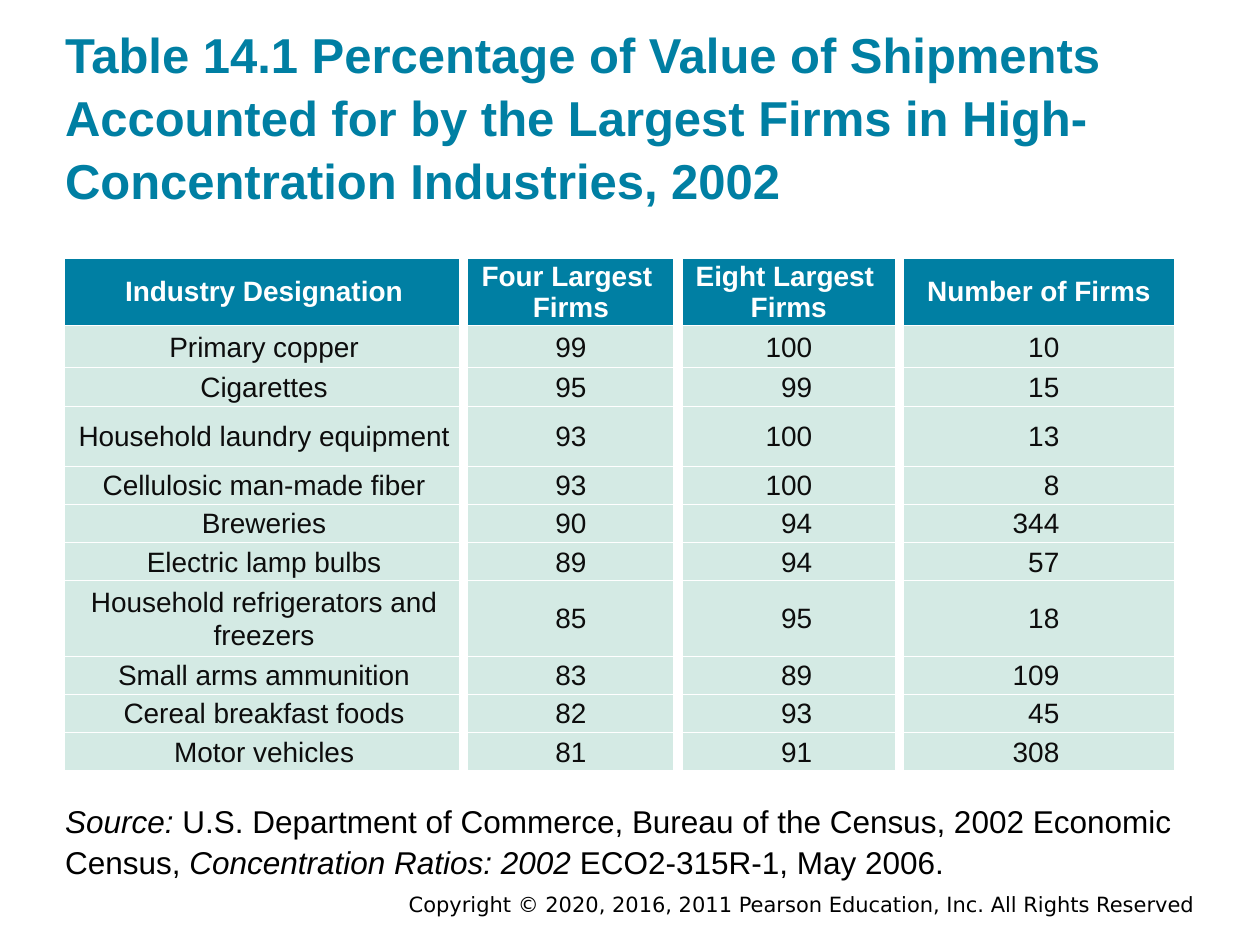
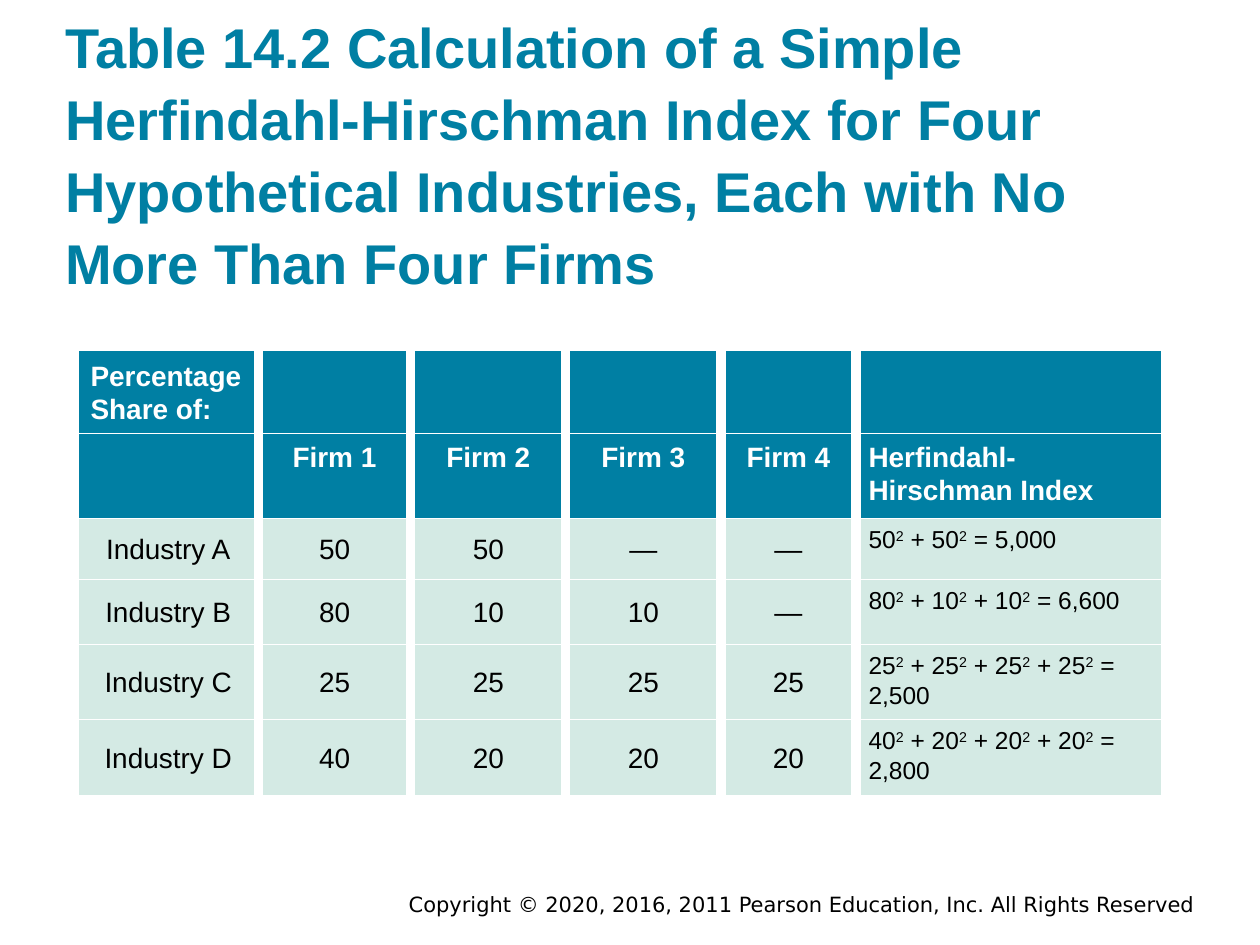
from dataclasses import dataclass, replace
from typing import NamedTuple, Sequence

import pptx
import pptx.dml.color
import pptx.enum.text
import pptx.oxml
import pptx.oxml.ns
import pptx.util

Pt = pptx.util.Pt
RGBColor = pptx.dml.color.RGBColor
Align = pptx.enum.text.PP_ALIGN
Anchor = pptx.enum.text.MSO_ANCHOR

TEAL = RGBColor(0x00, 0x7F, 0xA3)
MINT = RGBColor(0xD4, 0xEA, 0xE4)
WHITE = RGBColor(0xFF, 0xFF, 0xFF)
BLACK = RGBColor(0x00, 0x00, 0x00)
NEAR_BLACK = RGBColor(0x0D, 0x0D, 0x0D)

TITLE_AND_BODY, TITLE_ONLY = 1, 5
COLUMN_GAP, ROW_GAP = 6, 0.25
COPYRIGHT = "Copyright © 2020, 2016, 2011 Pearson Education, Inc. All Rights Reserved"


class Box(NamedTuple):
    left: float
    top: float
    width: float
    height: float


class Margins(NamedTuple):
    left: float
    top: float
    right: float
    bottom: float


class Run(NamedTuple):
    text: str
    italic: bool = False
    superscript: bool = False


Paragraph = Sequence[Run]


@dataclass(frozen=True)
class Style:
    size: float
    color: RGBColor
    bold: bool = False
    align: Align = Align.LEFT
    anchor: Anchor = Anchor.MIDDLE
    spacing: float = 1.07
    margins: Margins = Margins(7.2, 7.2, 7.2, 7.2)
    font: str = "Arial"


@dataclass(frozen=True)
class Cell:
    paragraphs: Sequence[Paragraph]
    style: Style
    fill: RGBColor


TIGHT = Margins(0.7, 0.7, 0.7, 0.7)
ROOMY = Margins(7.2, 3.6, 7.2, 3.6)
TITLE = Style(28, TEAL, bold=True, anchor=Anchor.BOTTOM)
SOURCE = Style(18, BLACK)
FOOTER = Style(12, BLACK, align=Align.RIGHT, anchor=Anchor.TOP, spacing=1,
               margins=ROOMY, font="DejaVu Sans")

FIRMS_HEADER = Style(16, WHITE, bold=True, align=Align.CENTER, spacing=1, margins=TIGHT)
FIRMS_BODY = Style(16, NEAR_BLACK, align=Align.CENTER, margins=TIGHT)
EIGHT_FIRMS = replace(FIRMS_BODY, align=Align.RIGHT, margins=TIGHT._replace(right=50))
FIRM_COUNT = replace(FIRMS_BODY, align=Align.RIGHT, margins=TIGHT._replace(right=68))

INDEX_CORNER = Style(16, WHITE, bold=True, margins=ROOMY)
INDEX_HEADER = replace(INDEX_CORNER, anchor=Anchor.TOP)
INDEX_BODY = Style(16, BLACK, align=Align.CENTER, margins=ROOMY)
INDEX_FORMULA = Style(14, BLACK, anchor=Anchor.TOP, margins=ROOMY)

CONCENTRATED_INDUSTRIES = [
    ("Primary copper", 99, 100, 10),
    ("Cigarettes", 95, 99, 15),
    ("Household laundry equipment", 93, 100, 13),
    ("Cellulosic man-made fiber", 93, 100, 8),
    ("Breweries", 90, 94, 344),
    ("Electric lamp bulbs", 89, 94, 57),
    ("Household refrigerators and freezers", 85, 95, 18),
    ("Small arms ammunition", 83, 89, 109),
    ("Cereal breakfast foods", 82, 93, 45),
    ("Motor vehicles", 81, 91, 308),
]
MARKET_SHARES = {
    "Industry A": (50, 50),
    "Industry B": (80, 10, 10),
    "Industry C": (25, 25, 25, 25),
    "Industry D": (40, 20, 20, 20),
}
FIRM_SLOTS = 4


def plain(text: str) -> list[Paragraph]:
    """One paragraph of one run for each line of the text."""
    return [[Run(line)] for line in text.split("\n")] if text else []


def write(frame, paragraphs: Sequence[Paragraph], style: Style) -> None:
    for number, runs in enumerate(paragraphs):
        paragraph = frame.paragraphs[0] if number == 0 else frame.add_paragraph()
        paragraph.alignment = style.align
        paragraph.line_spacing = style.spacing
        paragraph.space_before = Pt(0)
        for part in runs:
            run = paragraph.add_run()
            run.text = part.text
            run.font.name = style.font
            run.font.size = Pt(style.size)
            run.font.bold = style.bold
            run.font.italic = part.italic
            run.font.color.rgb = style.color
            if part.superscript:
                run.font._element.set("baseline", "30000")


def set_margins(target, margins: Margins) -> None:
    target.margin_left, target.margin_top, target.margin_right, target.margin_bottom = map(Pt, margins)


def fill_shape(shape, box: Box, paragraphs: Sequence[Paragraph], style: Style) -> None:
    shape.left, shape.top, shape.width, shape.height = map(Pt, box)
    frame = shape.text_frame
    frame.word_wrap = True
    frame.auto_size = pptx.enum.text.MSO_AUTO_SIZE.NONE
    frame.vertical_anchor = style.anchor
    set_margins(frame, style.margins)
    write(frame, paragraphs, style)


def remove_bullets(frame) -> None:
    for paragraph in frame.paragraphs:
        properties = paragraph._p.get_or_add_pPr()
        properties.set("marL", "0")
        properties.set("indent", "0")
        properties.append(properties.makeelement(pptx.oxml.ns.qn("a:buNone"), {}))


def add_borders(cell, first_column: bool) -> None:
    widths = {"lnL": COLUMN_GAP, "lnR": COLUMN_GAP, "lnT": ROW_GAP, "lnB": ROW_GAP}
    if first_column:
        del widths["lnL"]
    for edge, width in widths.items():
        cell._tc.get_or_add_tcPr().append(pptx.oxml.parse_xml(
            f'<a:{edge} {pptx.oxml.ns.nsdecls("a")} w="{int(Pt(width))}">'
            f'<a:solidFill><a:srgbClr val="{WHITE}"/></a:solidFill></a:{edge}>'))


def add_grid(slide, left: float, top: float, widths: Sequence[float],
             heights: Sequence[float], rows: Sequence[Sequence[Cell]]) -> None:
    table = slide.shapes.add_table(len(heights), len(widths), Pt(left), Pt(top),
                                   Pt(sum(widths)), Pt(sum(heights))).table
    table.first_row = table.horz_banding = False
    for column, width in zip(table.columns, widths):
        column.width = Pt(width)
    for row, height, contents in zip(table.rows, heights, rows):
        row.height = Pt(height)
        for number, (cell, content) in enumerate(zip(row.cells, contents)):
            cell.vertical_anchor = content.style.anchor
            set_margins(cell, content.style.margins)
            add_borders(cell, first_column=number == 0)
            cell.fill.solid()
            cell.fill.fore_color.rgb = content.fill
            write(cell.text_frame, content.paragraphs, content.style)


def start_slide(deck, layout: int, title: str, title_box: Box, title_size: float):
    """Add a slide with its title and the copyright line."""
    slide = deck.slides.add_slide(deck.slide_layouts[layout])
    fill_shape(slide.shapes.title, title_box, plain(title), replace(TITLE, size=title_size))
    footer_box = Box(126, 506, 564, 16)
    footer = slide.shapes.add_textbox(*map(Pt, footer_box))
    fill_shape(footer, footer_box, plain(COPYRIGHT), FOOTER)
    return slide


def build_concentration_slide(deck) -> None:
    slide = start_slide(
        deck, TITLE_AND_BODY,
        "Table 14.1 Percentage of Value of Shipments Accounted for by the Largest Firms "
        "in High-Concentration Industries, 2002",
        Box(30, 10, 648, 116.6), 28)

    headings = ("Industry Designation", "Four Largest \nFirms", "Eight Largest \nFirms", "Number of Firms")
    styles = (FIRMS_BODY, FIRMS_BODY, EIGHT_FIRMS, FIRM_COUNT)
    rows = [[Cell(plain(heading), FIRMS_HEADER, TEAL) for heading in headings]]
    for industry in CONCENTRATED_INDUSTRIES:
        rows.append([Cell(plain(str(value)), style, MINT) for value, style in zip(industry, styles)])
    heights = [38.3, 24, 21.9, 34.2] + [21.9] * 3 + [42.9] + [21.9] * 3
    add_grid(slide, 36.8, 147.8, (228.2, 122.4, 126.7, 159.2), heights, rows)

    source = slide.placeholders[1]
    fill_shape(source, Box(30, 456, 648, 48), [[
        Run("Source: ", italic=True),
        Run("U.S. Department of Commerce, Bureau of the Census, 2002 Economic Census, "),
        Run("Concentration Ratios: 2002", italic=True),
        Run(" ECO2-315R-1, May 2006."),
    ]], SOURCE)
    remove_bullets(source.text_frame)


def index_formula(shares: Sequence[int]) -> Paragraph:
    """The sum of the squared shares, written out with its result."""
    runs = []
    for number, share in enumerate(shares):
        runs += [Run(f" + {share}" if number else str(share)), Run("2", superscript=True)]
    return runs + [Run(f" = {sum(share ** 2 for share in shares):,}")]


def build_index_slide(deck) -> None:
    slide = start_slide(
        deck, TITLE_ONLY,
        "Table 14.2 Calculation of a Simple Herfindahl-Hirschman Index for Four "
        "Hypothetical Industries, Each with No More Than Four Firms",
        Box(30, 6, 648, 170), 32)

    firm_header = replace(INDEX_HEADER, align=Align.CENTER)
    empty = Cell([], INDEX_HEADER, TEAL)
    rows = [
        [Cell(plain("Percentage Share of:"), INDEX_CORNER, TEAL)] + [empty] * (FIRM_SLOTS + 1),
        [empty]
        + [Cell(plain(f"Firm {number}"), firm_header, TEAL) for number in range(1, FIRM_SLOTS + 1)]
        + [Cell(plain("Herfindahl-Hirschman Index"), INDEX_HEADER, TEAL)],
    ]
    for industry, shares in MARKET_SHARES.items():
        labels = [industry, *map(str, shares)] + ["—"] * (FIRM_SLOTS - len(shares))
        rows.append([Cell(plain(label), INDEX_BODY, MINT) for label in labels]
                    + [Cell([index_formula(shares)], INDEX_FORMULA, MINT)])
    add_grid(slide, 44.6, 200.3, (103, 87.2, 88.6, 88.6, 77.2, 177.1),
             (47.5, 48.5, 34.9, 37.1, 42.9, 43.4), rows)


def main() -> None:
    deck = pptx.Presentation()
    deck.slide_width, deck.slide_height = Pt(720), Pt(540)
    build_concentration_slide(deck)
    build_index_slide(deck)
    deck.save("out.pptx")


if __name__ == "__main__":
    main()
